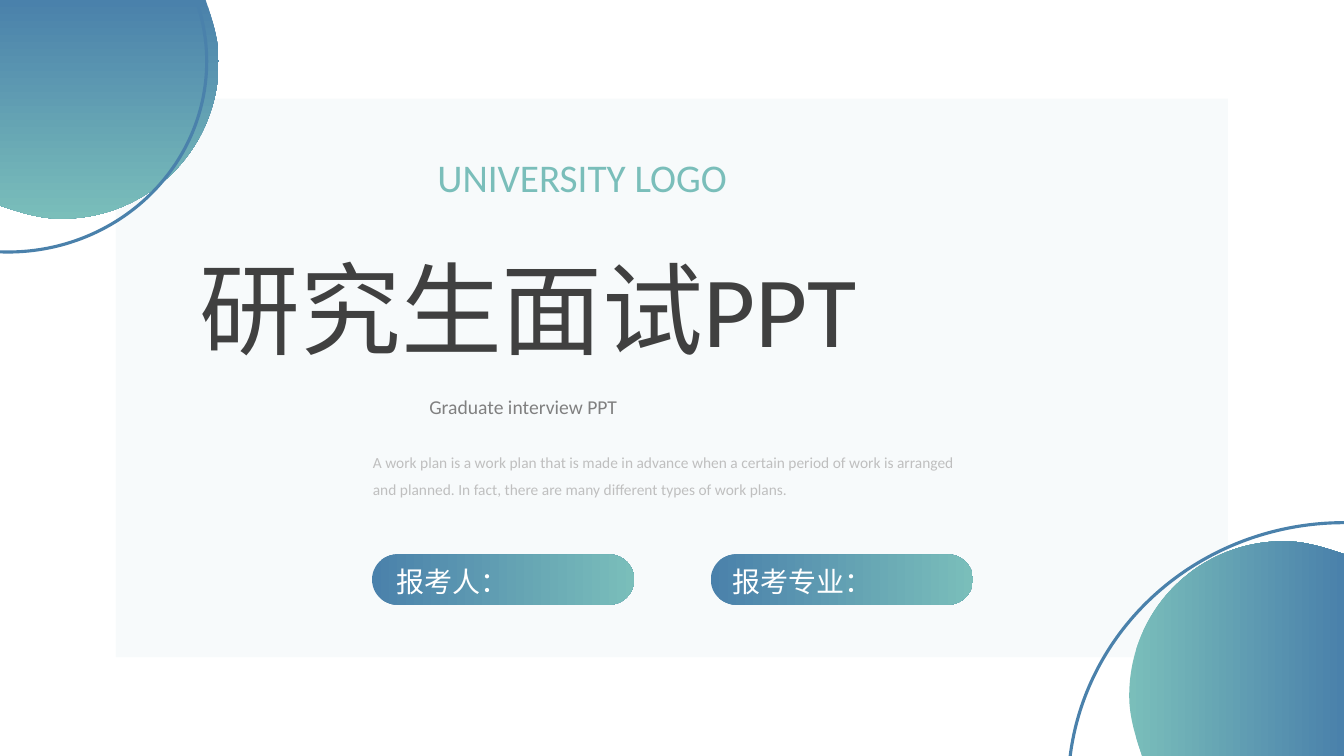
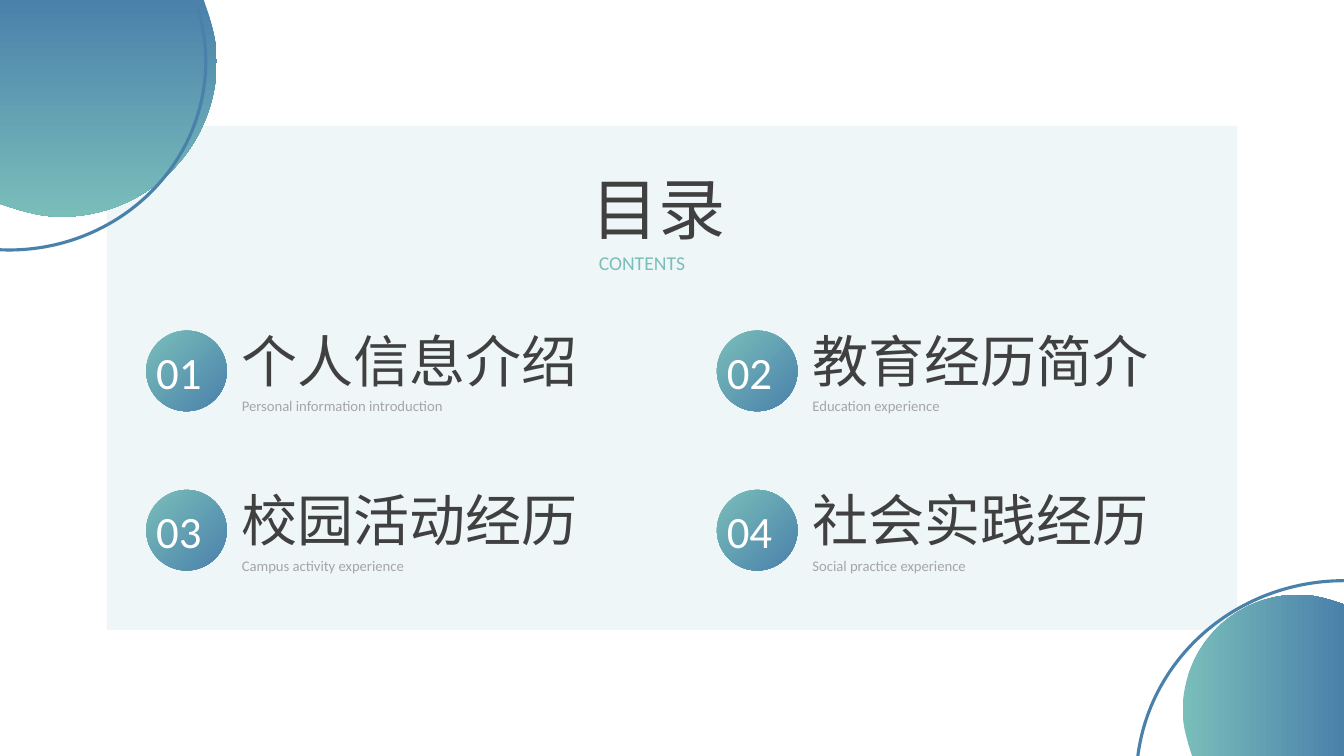
"""Build the cover and contents slides of a graduate interview deck."""
from lxml import etree
from pptx import Presentation
from pptx import util as u
from pptx.dml.color import RGBColor
from pptx.enum import shapes, text
from pptx.oxml.ns import qn

COLORS = {
    "blue": "4A81AB", "teal": "7ABEBA", "panel": "6AAAB5", "dark": "404040",
    "gray": "808080", "silver": "A6A6A6", "pale": "BFBFBF", "white": "FFFFFF",
}
FONT = "Calibri"
WIDTH, HEIGHT = 13.33, 7.5
DISC = [
    (0, 0), (0.94, 0),
    (0.97, 0.09), (1, 0.18), (1, 0.28),
    (1, 0.68), (0.68, 1), (0.28, 1),
    (0.18, 1), (0.09, 0.97), (0, 0.94),
]


def blend(shape, start, end, angle):
    """Fill a shape with a two-colour gradient, without line or shadow."""
    shape.shadow.inherit = False
    shape.line.fill.background()
    shape.fill.gradient()
    shape.fill.gradient_angle = angle
    for stop, color in zip(shape.fill.gradient_stops, (start, end)):
        stop.color.rgb = RGBColor.from_string(COLORS[color])


deck = Presentation()
deck.slide_width, deck.slide_height = u.Inches(WIDTH), u.Inches(HEIGHT)
cover, contents = [deck.slides.add_slide(deck.slide_layouts[6]) for _ in range(2)]

frames = [
    (cover, (1.15, 0.98, 11.03, 5.54), 5,
     2.17, (-1.81, -1.36, 3.78, 3.94), 2.13, (10.7, 5.08, 5.26, 5.47)),
    (contents, (1.06, 1.25, 11.21, 5), 10,
     2.15, (-1.78, -1.34, 3.74, 3.9), 1.6, (11.35, 5.68, 3.96, 4.12)),
]
for page, panel_area, opacity, top_size, top_arc, low_size, low_arc in frames:
    panel = page.shapes.add_shape(
        shapes.MSO_SHAPE.RECTANGLE, *map(u.Inches, panel_area))
    panel.shadow.inherit = False
    panel.line.fill.background()
    panel.fill.solid()
    panel.fill.fore_color.rgb = RGBColor.from_string(COLORS["panel"])
    tint = panel.fill._xPr.find(".//" + qn("a:srgbClr"))
    etree.SubElement(tint, qn("a:alpha")).set("val", str(opacity * 1000))

    corners = [
        (0, 0, top_size, ("blue", "teal", 270), top_arc, 90, (150.99, 3)),
        (WIDTH, HEIGHT, -low_size, ("teal", "blue", 0), low_arc, 270, (166.04, 0.12)),
    ]
    for x, y, size, gradient, arc_area, rotation, sweep in corners:
        outline = [(u.Inches(x + size * across), u.Inches(y + size * down))
                   for across, down in DISC]
        builder = page.shapes.build_freeform(*outline[0])
        builder.add_line_segments(outline[1:], close=True)
        disc = builder.convert_to_shape()
        steps = list(disc._element.iter(qn("a:lnTo")))[1:10]
        for first in range(0, 9, 3):
            curve = etree.Element(qn("a:cubicBezTo"))
            steps[first].addprevious(curve)
            for step in steps[first:first + 3]:
                curve.append(step[0])
                step.getparent().remove(step)
        blend(disc, *gradient)

        arc = page.shapes.add_shape(shapes.MSO_SHAPE.ARC, *map(u.Inches, arc_area))
        arc.shadow.inherit = False
        arc.rotation = rotation
        for index, degrees in enumerate(sweep):
            arc.adjustments[index] = degrees * 0.6
        arc.fill.background()
        arc.line.color.rgb = RGBColor.from_string(COLORS["blue"])
        arc.line.width = u.Pt(2.25)

labels = [
    (cover, (1.88, 2.4, 9.56, 1.31), "研究生面试PPT", 72, "dark"),
    (cover, (4.16, 3.87, 5.01, 0.34), "Graduate interview PPT", 14, "gray"),
    (cover, (4.24, 1.47, 4.85, 0.57), "UNIVERSITY LOGO", 28, "teal"),
    (contents, (5.77, 1.61, 1.78, 0.91), "目录", 48, "dark"),
    (contents, (5.84, 2.44, 1.65, 0.34), "CONTENTS", 14, "teal"),
]

pills = [(3.69, 3.83, "报考人："), (7.05, 7.17, "报考专业：")]
for left, label_left, words in pills:
    pill = cover.shapes.add_shape(
        shapes.MSO_SHAPE.ROUNDED_RECTANGLE, *map(u.Inches, (left, 5.5, 2.6, 0.5)))
    pill.adjustments[0] = 0.5
    blend(pill, "blue", "teal", 0)
    labels.append((cover, (label_left, 5.55, 2.33, 0.44), words, 20, "white"))

chapters = [
    ("个人信息介绍", "Personal information introduction"),
    ("教育经历简介", "Education experience"),
    ("校园活动经历", "Campus activity experience"),
    ("社会实践经历", "Social practice experience"),
]
for index, (title, subtitle) in enumerate(chapters):
    row, column = divmod(index, 2)
    left, top = 1.45 + column * 5.66, 3.28 + row * 1.58
    badge = contents.shapes.add_shape(
        shapes.MSO_SHAPE.OVAL, *map(u.Inches, (left, top, 0.8, 0.8)))
    blend(badge, "teal", "blue", 315)
    labels += [
        (contents, (left, top + 0.09, 0.79, 0.64), f"{index + 1:02}", 32, "white"),
        (contents, (left + 0.85, top - 0.09, 3.92, 0.77), title, 40, "dark"),
        (contents, (left + 0.85, top + 0.61, 3.92, 0.29), subtitle, 10.5, "silver"),
    ]

summary = (
    "A work plan is a work plan that is made in advance when a certain period "
    "of work is arranged and planned. In fact, there are many different types "
    "of work plans."
)
labels.append((cover, (3.6, 4.35, 6.14, 0.63), summary, 11, "pale"))

for page, area, words, size, color in labels:
    box = page.shapes.add_textbox(*map(u.Inches, area))
    box.text_frame.word_wrap = True
    box.text_frame.auto_size = text.MSO_AUTO_SIZE.SHAPE_TO_FIT_TEXT
    para = box.text_frame.paragraphs[0]
    para.alignment = text.PP_ALIGN.JUSTIFY
    if words == summary:
        para.alignment = text.PP_ALIGN.LEFT
        para.line_spacing = 1.5
    span = para.add_run()
    span.text = words
    span.font.name = FONT
    span.font.size = u.Pt(size)
    span.font.color.rgb = RGBColor.from_string(COLORS[color])

deck.save("out.pptx")
